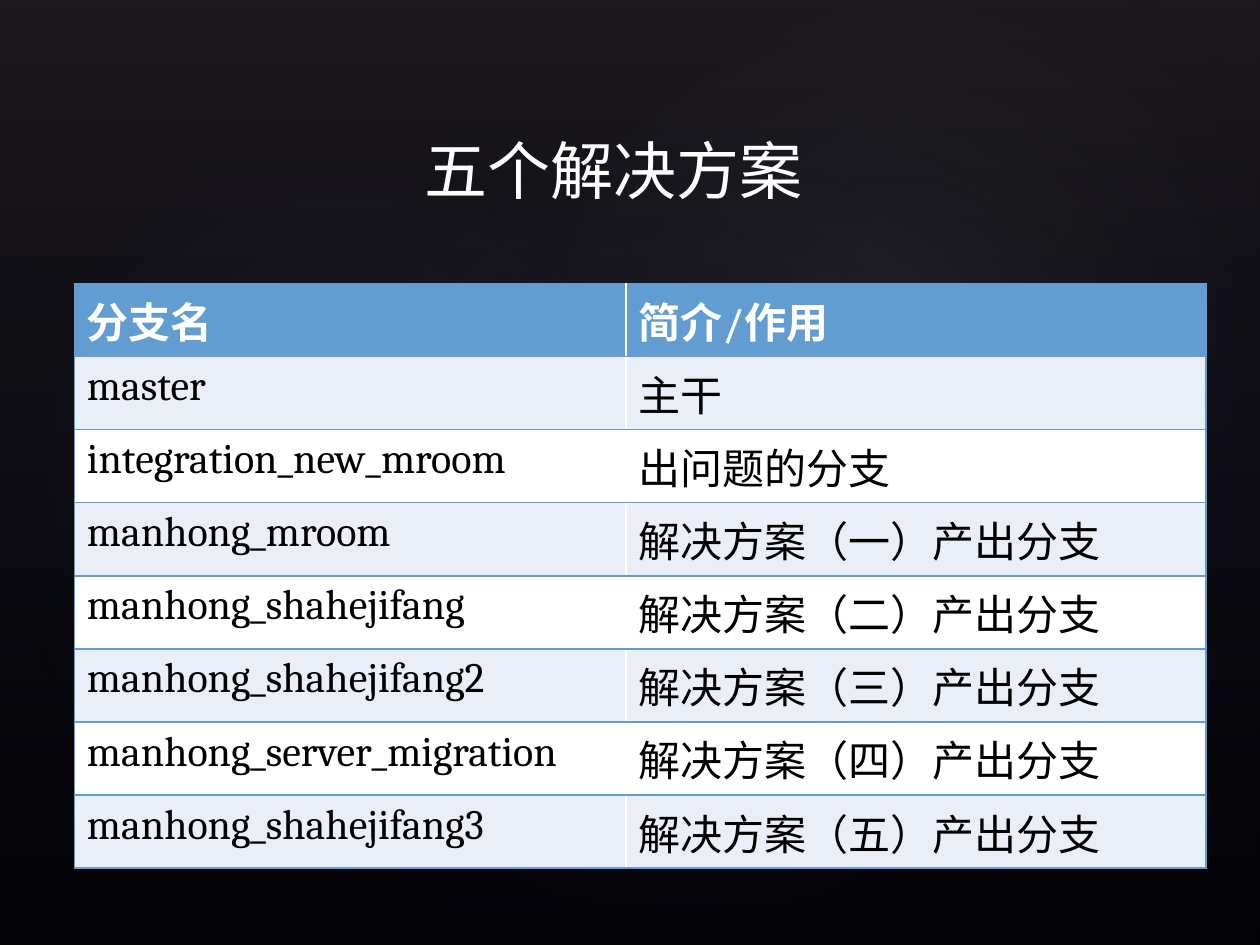
from pptx import Presentation
from pptx.dml.color import RGBColor
from pptx.enum.shapes import MSO_SHAPE
from pptx.enum.text import MSO_ANCHOR
from pptx.oxml import parse_xml
from pptx.oxml.ns import nsdecls
from pptx.util import Inches, Pt

TITLE = "五个解决方案"
BRANCHES = [
    ("分支名", "简介/作用"),
    ("master", "主干"),
    ("integration_new_mroom", "出问题的分支"),
    ("manhong_mroom", "解决方案（一）产出分支"),
    ("manhong_shahejifang", "解决方案（二）产出分支"),
    ("manhong_shahejifang2", "解决方案（三）产出分支"),
    ("manhong_server_migration", "解决方案（四）产出分支"),
    ("manhong_shahejifang3", "解决方案（五）产出分支"),
]
FONT = "Cambria"
BLACK = RGBColor(0x00, 0x00, 0x00)
WHITE = RGBColor(0xFF, 0xFF, 0xFF)
BLUE = RGBColor(0x62, 0x9D, 0xD1)
PALE = RGBColor(0xEA, 0xEF, 0xF7)
PLUM = RGBColor(0x50, 0x46, 0x52)
NAVY = RGBColor(0x24, 0x28, 0x52)
MIST = RGBColor(0xC4, 0xBC, 0xC6)

WIDTH, HEIGHT = 10, 7.5
GLOWS = [
    ((1.5, 1.14, 7.92, 6.24), 328.7, 7),
    ((-0.3, 1.28, 6.06, 4.9), 294.3, 8),
    ((3.58, 0.13, 7.09, 5.2), 328.7, 8),
]
LINEAR = '<a:lin ang="5400000" scaled="0"/>'
RADIAL = '<a:path path="circle"><a:fillToRect l="50000" t="50000" r="50000" b="50000"/></a:path>'
COLUMNS = (4.38, 4.6)
ROW = 0.58


def add_gradient(slide, preset, box, stops, direction, rotation=0):
    shape = slide.shapes.add_shape(preset, *map(Inches, box))
    shape.shadow.inherit = False
    shape.line.fill.background()
    shape.rotation = rotation
    shape.fill.background()
    marks = "".join(
        f'<a:gs pos="{position * 1000}"><a:srgbClr val="{color}">'
        f'<a:alpha val="{opacity * 1000}"/></a:srgbClr></a:gs>'
        for position, color, opacity in stops
    )
    gradient = parse_xml(
        f'<a:gradFill {nsdecls("a")} rotWithShape="1"><a:gsLst>{marks}</a:gsLst>{direction}</a:gradFill>'
    )
    properties = shape.element.spPr
    properties.replace(properties.find("{*}noFill"), gradient)


def write(frame, text, size=24, color=BLACK, bold=False):
    run = frame.paragraphs[0].add_run()
    run.text = text
    run.font.name = FONT
    run.font.size = Pt(size)
    run.font.bold = bold
    run.font.color.rgb = color


def style_cell(cell, color, sides):
    properties = cell._tc.get_or_add_tcPr()
    for side in sides:
        properties.append(parse_xml(
            f'<a:{side} {nsdecls("a")} w="12700"><a:solidFill>'
            f'<a:srgbClr val="{BLUE}"/></a:solidFill></a:{side}>'
        ))
    cell.fill.solid()
    cell.fill.fore_color.rgb = color


def add_branches(slide):
    table = slide.shapes.add_table(
        len(BRANCHES), len(COLUMNS), Inches(0.59), Inches(2.25),
        Inches(sum(COLUMNS)), Inches(ROW * len(BRANCHES)),
    ).table
    for column, width in zip(table.columns, COLUMNS):
        column.width = Inches(width)
    for r, branch in enumerate(BRANCHES):
        header = r == 0
        color = BLUE if header else (WHITE, PALE)[r % 2]
        for c, text in enumerate(branch):
            cell = table.cell(r, c)
            style_cell(cell, color, (("lnL", "lnR")[c], "lnT", "lnB"))
            write(cell.text_frame, text, color=WHITE if header else BLACK, bold=header)


def main():
    deck = Presentation()
    deck.slide_width, deck.slide_height = Inches(WIDTH), Inches(HEIGHT)
    slide = deck.slides.add_slide(deck.slide_layouts[6])
    slide.background.fill.solid()
    slide.background.fill.fore_color.rgb = BLACK

    add_gradient(slide, MSO_SHAPE.RECTANGLE, (0, 0, WIDTH, HEIGHT),
                 [(0, PLUM, 36), (100, NAVY, 10)], LINEAR)
    for box, rotation, opacity in GLOWS:
        add_gradient(slide, MSO_SHAPE.OVAL, box,
                     [(0, MIST, opacity), (58, NAVY, 0)], RADIAL, rotation)

    title = slide.shapes.add_textbox(*map(Inches, (3.27, 0.92, 3.46, 0.77))).text_frame
    title.word_wrap = True
    title.vertical_anchor = MSO_ANCHOR.BOTTOM
    write(title, TITLE, size=36, color=WHITE)

    add_branches(slide)
    deck.save("out.pptx")


if __name__ == "__main__":
    main()
